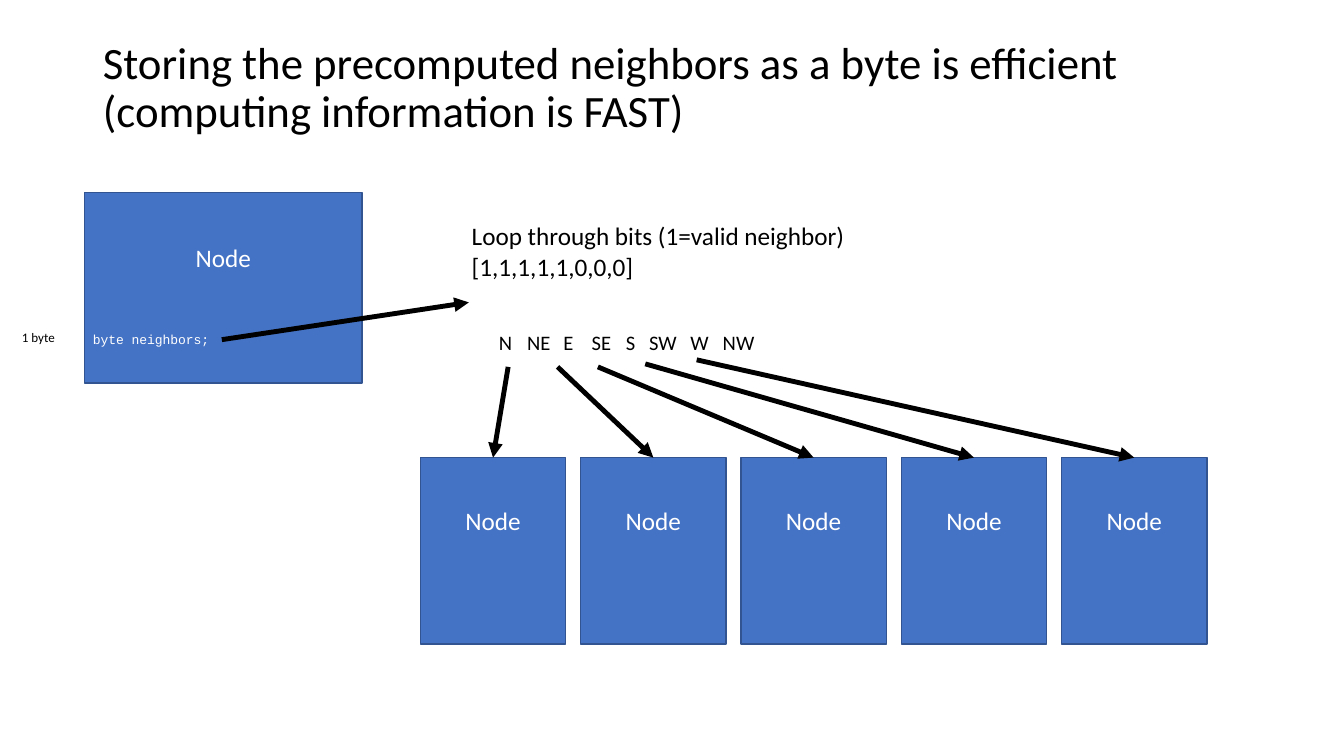
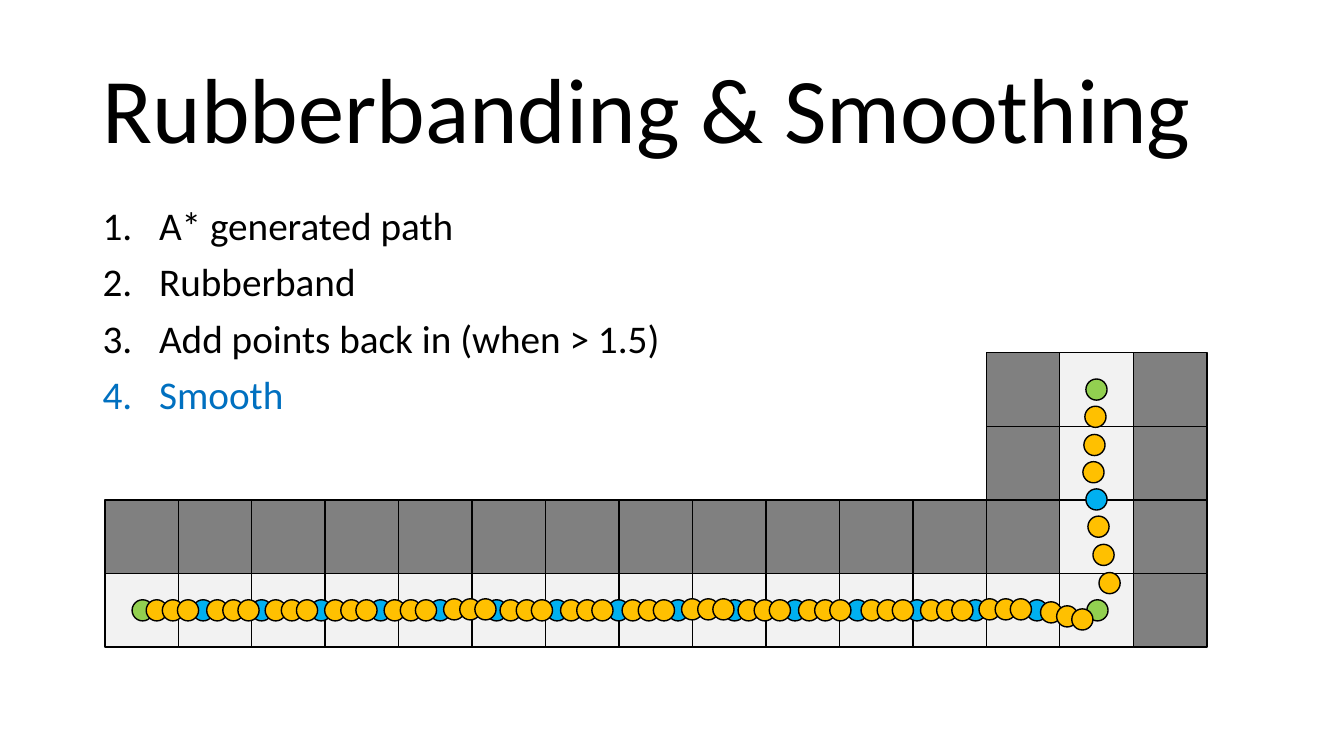
from typing import NamedTuple

from lxml import etree
from pptx import Presentation
from pptx.dml.color import RGBColor
from pptx.enum import shapes as es, text as et
from pptx.oxml.ns import qn
from pptx.util import Inches, Pt

# Shared look
BLACK = RGBColor(0x00, 0x00, 0x00)
WHITE = RGBColor(0xFF, 0xFF, 0xFF)
BLUE = RGBColor(0x44, 0x72, 0xC4)
NAVY = RGBColor(0x32, 0x54, 0x91)
WALL = RGBColor(0x80, 0x80, 0x80)
FLOOR = RGBColor(0xF2, 0xF2, 0xF2)
GREEN = RGBColor(0x92, 0xD0, 0x50)
SKY = RGBColor(0x00, 0xB0, 0xF0)
GOLD = RGBColor(0xFF, 0xC0, 0x00)
ACCENT = RGBColor(0x00, 0x70, 0xC0)
FONT = "Calibri"
CODE = "Courier New"
RECT = es.MSO_SHAPE.RECTANGLE
OVAL = es.MSO_SHAPE.OVAL
MIDDLE = et.MSO_ANCHOR.MIDDLE
LEFT = et.PP_ALIGN.LEFT
CENTER = et.PP_ALIGN.CENTER


class Box(NamedTuple):
    x: float
    y: float
    w: float
    h: float

    def place(self) -> tuple:
        return tuple(Inches(v) for v in self)


class Label(NamedTuple):
    box: Box
    text: str
    size: float
    font: str = FONT
    color: RGBColor = BLACK


class Dot(NamedTuple):
    x: float
    y: float
    color: RGBColor


TITLE = Box(0.92, 0.4, 11.5, 1.45)

# Node slide: parts
MAIN = Box(0.84, 1.91, 2.75, 1.89)
ROW = [Box(4.17 + 1.59 * i, 4.54, 1.44, 1.85) for i in range(5)]
STARTS = [(5.04, 3.64), (5.53, 3.64), (5.93, 3.64), (6.4, 3.61), (6.91, 3.57)]
LABELS = [
    Label(Box(0.12, 3.22, 0.6, 0.26), "1 byte", 9.3),
    Label(Box(4.58, 2.14, 3.95, 0.71),
          "Loop through bits (1=valid neighbor)\n[1,1,1,1,1,0,0,0]", 18),
]
FIELD = Label(Box(0.92, 3.29, 3.35, 0.16), "byte neighbors;", 9.3, CODE, WHITE)
POINTS = Label(Box(4.85, 3.22, 2.77, 0.35),
               "N\tNE\tE\tSE\tS\tSW\tW\tNW", 14.7)
STOPS = [0.28, 0.64, 0.92, 1.26, 1.49, 1.9, 2.22]

# Smoothing slide: list, map and route
STEPS = Label(Box(0.92, 2, 11.5, 4.76),
              "A* generated path\nRubberband\n"
              "Add points back in (when > 1.5)\nSmooth", 28)
CELL = 0.73
MAP = [" " * 12 + "#.#", " " * 12 + "#.#", "#" * 13 + ".#", "." * 14 + "#"]
KINDS = {"#": WALL, ".": FLOOR}
DOT = 0.21
BASE = 5.95
KNOTS = [1.31, 1.91, 2.49, 3.08, 3.67, 4.26, 4.82, 5.42,
         6.03, 6.62, 7.18, 7.78, 8.4, 8.99, 9.57, 10.18]
GAPS = (0.14, 0.3, 0.45)
BEND = (5.97, 6.01, 6.04)
RAISED = {4.26, 6.62, 9.57}
CLIMB = [(10.84, 5.4), (10.79, 5.12), (10.9, 5.68),
         (10.75, 4.31), (10.74, 4.58), (10.76, 4.03)]


def style(par, size: float, color: RGBColor, font: str = FONT) -> None:
    for run in par.runs:
        run.font.name = font
        run.font.size = Pt(size)
        run.font.color.rgb = color


def add_slide(deck, title: str, size: float):
    slide = deck.slides.add_slide(deck.slide_layouts[5])
    head = slide.shapes.title
    head.left, head.top, head.width, head.height = TITLE.place()
    frame = head.text_frame
    frame.text = title
    frame.word_wrap = True
    frame.auto_size = et.MSO_AUTO_SIZE.NONE
    frame.vertical_anchor = MIDDLE
    for par in frame.paragraphs:
        par.alignment = LEFT
        par.line_spacing = 0.9
        style(par, size, BLACK)
    return slide


def add_shape(slide, kind, box: Box, fill: RGBColor, line: RGBColor):
    shape = slide.shapes.add_shape(kind, *box.place())
    shape.shadow.inherit = False
    shape.fill.solid()
    shape.fill.fore_color.rgb = fill
    shape.line.color.rgb = line
    shape.line.width = Pt(1)
    return shape


def add_node(slide, box: Box):
    node = add_shape(slide, RECT, box, BLUE, NAVY)
    frame = node.text_frame
    frame.text = "Node"
    frame.vertical_anchor = MIDDLE
    frame.margin_bottom = Inches(0.66)  # lifts the name above the centre
    frame.paragraphs[0].alignment = CENTER
    style(frame.paragraphs[0], 18, WHITE)
    return node


def add_label(slide, label: Label):
    frame = slide.shapes.add_textbox(*label.box.place()).text_frame
    frame.word_wrap = True
    frame.text = label.text
    for par in frame.paragraphs:
        style(par, label.size, label.color, label.font)
    return frame


def add_arrow(slide, start: tuple, end: tuple):
    ends = [Inches(v) for v in (*start, *end)]
    arrow = slide.shapes.add_connector(es.MSO_CONNECTOR.STRAIGHT, *ends)
    arrow.line.color.rgb = BLACK
    arrow.line.width = Pt(3.5)
    etree.SubElement(arrow.line._get_or_add_ln(), qn("a:tailEnd"),
                     type="triangle")
    etree.SubElement(arrow._element.spPr, qn("a:effectLst"))
    return arrow


def set_tabs(par, stops: list) -> None:
    tabs = etree.SubElement(par._p.get_or_add_pPr(), qn("a:tabLst"))
    for stop in stops:
        etree.SubElement(tabs, qn("a:tab"), pos=str(Inches(stop)), algn="l")


def number(par) -> None:
    par.line_spacing = 0.9
    par.space_before = Pt(10)
    props = par._p.get_or_add_pPr()
    props.set("marL", str(Inches(0.56)))
    props.set("indent", str(Inches(-0.56)))
    etree.SubElement(props, qn("a:buFont"), typeface="+mj-lt")
    etree.SubElement(props, qn("a:buAutoNum"), type="arabicPeriod")


def get_dots() -> list[Dot]:
    dots = [Dot(KNOTS[0], BASE, GREEN), Dot(10.78, BASE, GREEN),
            Dot(10.77, 3.76, GREEN), Dot(10.77, 4.85, SKY)]
    dots += [Dot(x, BASE, SKY) for x in KNOTS[1:]]
    for x in KNOTS:
        level = BASE - 0.01 if x in RAISED else BASE
        tops = BEND if x == KNOTS[-1] else (level,) * 3
        dots += [Dot(x + gap, y, GOLD) for gap, y in zip(GAPS, tops)]
    return dots + [Dot(x, y, GOLD) for x, y in CLIMB]


def draw_nodes(deck) -> None:
    slide = add_slide(deck, "Storing the precomputed neighbors as a byte is "
                      "efficient\v(computing information is FAST)", 32)
    frame = slide.shapes.title.text_frame
    frame.vertical_anchor = et.MSO_ANCHOR.TOP
    frame.margin_top = 0

    # Node with its one-byte field
    add_node(slide, MAIN)
    field = add_label(slide, FIELD)
    field.vertical_anchor = MIDDLE
    field.margin_left = field.margin_right = 0
    field.margin_top = field.margin_bottom = 0
    for label in LABELS:
        add_label(slide, label)
    set_tabs(add_label(slide, POINTS).paragraphs[0], STOPS)

    # Neighbors, each reached from its bit
    for box, start in zip(ROW, STARTS):
        node = add_node(slide, box)
        arrow = add_arrow(slide, start, (box.x + box.w / 2, box.y))
        arrow.end_connect(node, 0)
    add_arrow(slide, (2.2, 3.37), (4.65, 3))


def draw_route(deck) -> None:
    slide = add_slide(deck, "Rubberbanding & Smoothing", 66)
    steps = add_label(slide, STEPS).paragraphs
    for par in steps:
        number(par)
    style(steps[-1], STEPS.size, ACCENT)

    # Map, with the columns spread evenly
    pitch = (11.24 - 1.04) / 14
    for r, row in enumerate(MAP):
        for c, key in enumerate(row):
            if key in KINDS:
                box = Box(1.04 + pitch * c, 3.5 + CELL * r, CELL, CELL)
                add_shape(slide, RECT, box, KINDS[key], BLACK)

    # Route
    for dot in get_dots():
        add_shape(slide, OVAL, Box(dot.x, dot.y, DOT, DOT), dot.color, BLACK)


def main() -> None:
    deck = Presentation()
    deck.slide_width = Inches(13.33)
    deck.slide_height = Inches(7.5)
    draw_nodes(deck)
    draw_route(deck)
    deck.save("out.pptx")


if __name__ == "__main__":
    main()
